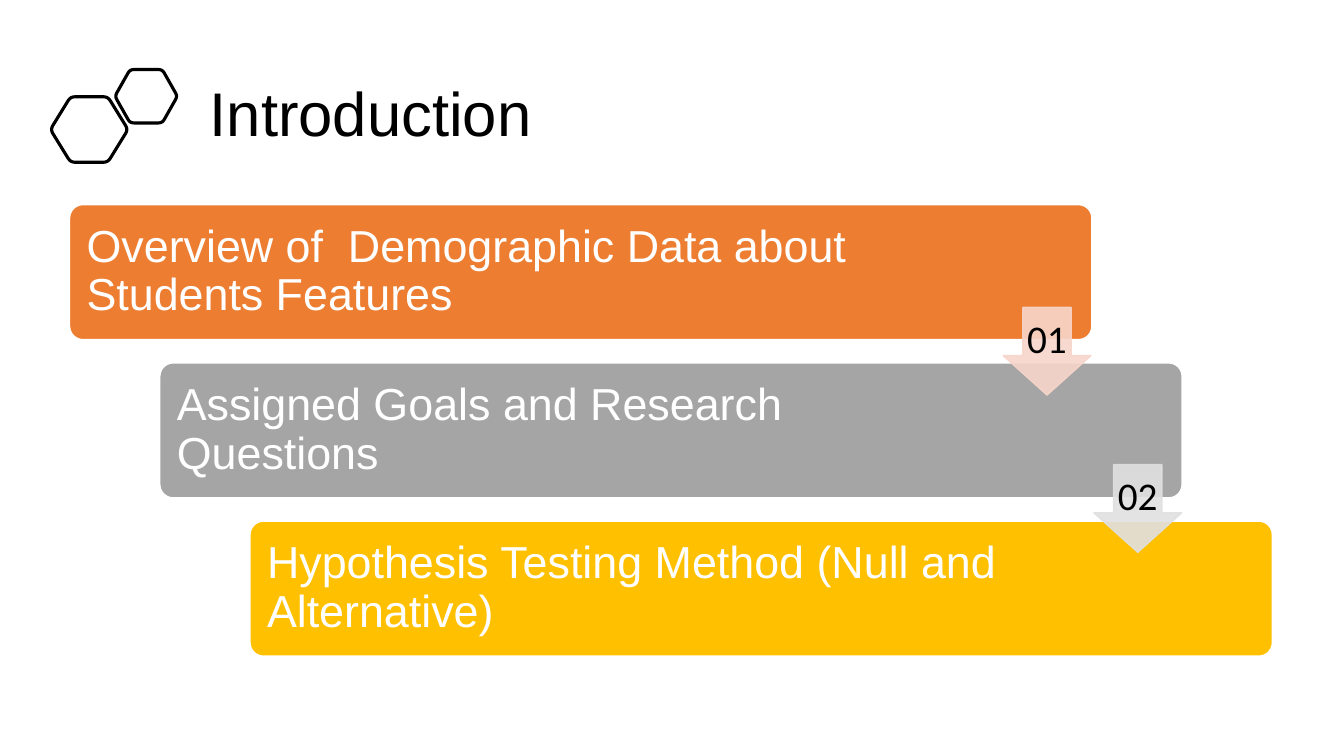
from lxml import etree
from pptx import Presentation
from pptx import util as u
from pptx.dml.color import RGBColor
from pptx.enum import shapes, text
from pptx.oxml.ns import qn

theme = {
    "ink": "000000", "paper": "FFFFFF",
    "bars": ["ED7D31", "A5A5A5", "FFC000"],
    "arrows": ["F7D5CB", "E0E0E0"],
    "head": 44, "item": 32, "mark": 28,
    "font": "Arial", "digit": "Calibri",
}
left, center = text.PP_ALIGN.LEFT, text.PP_ALIGN.CENTER


def write(shape, words, size, font, ink, align, pads, wrap=True):
    frame = shape.text_frame
    frame.text = words
    look = {"word_wrap": wrap, "vertical_anchor": text.MSO_ANCHOR.MIDDLE}
    sides = ("left", "top", "right", "bottom")
    look.update({f"margin_{s}": u.Inches(p) for s, p in zip(sides, pads)})
    for key, val in look.items():
        setattr(frame, key, val)
    para = frame.paragraphs[0]
    para.alignment, para.line_spacing = align, 0.9
    run = para.runs[0].font
    for key, val in {"size": u.Pt(size), "name": font}.items():
        setattr(run, key, val)
    run.color.rgb = RGBColor.from_string(ink)


def paint(shape, fill, line, width):
    shape.shadow.inherit = False
    if fill:
        shape.fill.solid()
        shape.fill.fore_color.rgb = RGBColor.from_string(fill)
    else:
        shape.fill.background()
    shape.line.color.rgb = RGBColor.from_string(line)
    shape.line.width = u.Pt(width)


deck = Presentation()
deck.slide_width, deck.slide_height = u.Inches(13.33), u.Inches(7.5)
slide = deck.slides.add_slide(deck.slide_layouts[5])

# Title
title = slide.shapes.title
spot = {"left": 1.98, "top": 0.57, "width": 10.81, "height": 1.17}
for key, val in spot.items():
    setattr(title, key, u.Inches(val))
write(title, "Introduction", theme["head"], theme["font"], theme["ink"],
      left, (0.1, 0.05, 0.1, 0.05))

# Hexagons with rounded corners: x, y, width, height, slant
for x, y, w, h, cut in [(0.5, 0.96, 0.77, 0.65, 0.2),
                        (1.14, 0.69, 0.62, 0.53, 0.15)]:
    tips = [(x, y + h / 2), (x + cut, y), (x + w - cut, y),
            (x + w, y + h / 2), (x + w - cut, y + h), (x + cut, y + h)]
    dots = []
    for i, tip in enumerate(tips):
        prev, after = tips[i - 1], tips[(i + 1) % 6]
        start, end = [[t + (n - t) * 0.12 for t, n in zip(tip, near)]
                      for near in (prev, after)]
        for t in (0, 0.25, 0.5, 0.75, 1):
            dots.append([u.Inches((1 - t) ** 2 * a + 2 * t * (1 - t) * b + t * t * c)
                         for a, b, c in zip(start, tip, end)])
    pen = slide.shapes.build_freeform(*dots[0])
    pen.add_line_segments(dots[1:], close=True)
    paint(pen.convert_to_shape(), None, theme["ink"], 2.25)

# Stepped bars; the right margin keeps text clear of the arrows
bars = [("Overview of  Demographic Data about Students Features", 1.5),
        ("Assigned Goals and Research Questions", 1.9),
        ("Hypothesis Testing Method (Null and Alternative)", 1.9)]
for i, (words, pad) in enumerate(bars):
    bar = slide.shapes.add_shape(
        shapes.MSO_SHAPE.ROUNDED_RECTANGLE, u.Inches(0.69 + 0.895 * i),
        u.Inches(2.03 + 1.57 * i), u.Inches(10.14), u.Inches(1.34))
    bar.adjustments[0] = 0.1
    paint(bar, theme["bars"][i], theme["paper"], 1)
    write(bar, words, theme["item"], theme["font"], theme["paper"],
          left, (0.13, 0.13, pad, 0.13))

# Numbered arrows, 90% opaque
for i, tint in enumerate(theme["arrows"]):
    arrow = slide.shapes.add_shape(
        shapes.MSO_SHAPE.DOWN_ARROW, u.Inches(9.95 + 0.9 * i),
        u.Inches(3.05 + 1.56 * i), u.Inches(0.87), u.Inches(0.87))
    arrow.adjustments[0], arrow.adjustments[1] = 0.55, 0.45
    paint(arrow, tint, tint, 1)
    for hue in arrow.element.spPr.iter(qn("a:srgbClr")):
        etree.SubElement(hue, qn("a:alpha")).set("val", "90000")
    write(arrow, f"{i + 1:02}", theme["mark"], theme["digit"], theme["ink"],
          center, (0.04,) * 4, wrap=False)

deck.save("out.pptx")
